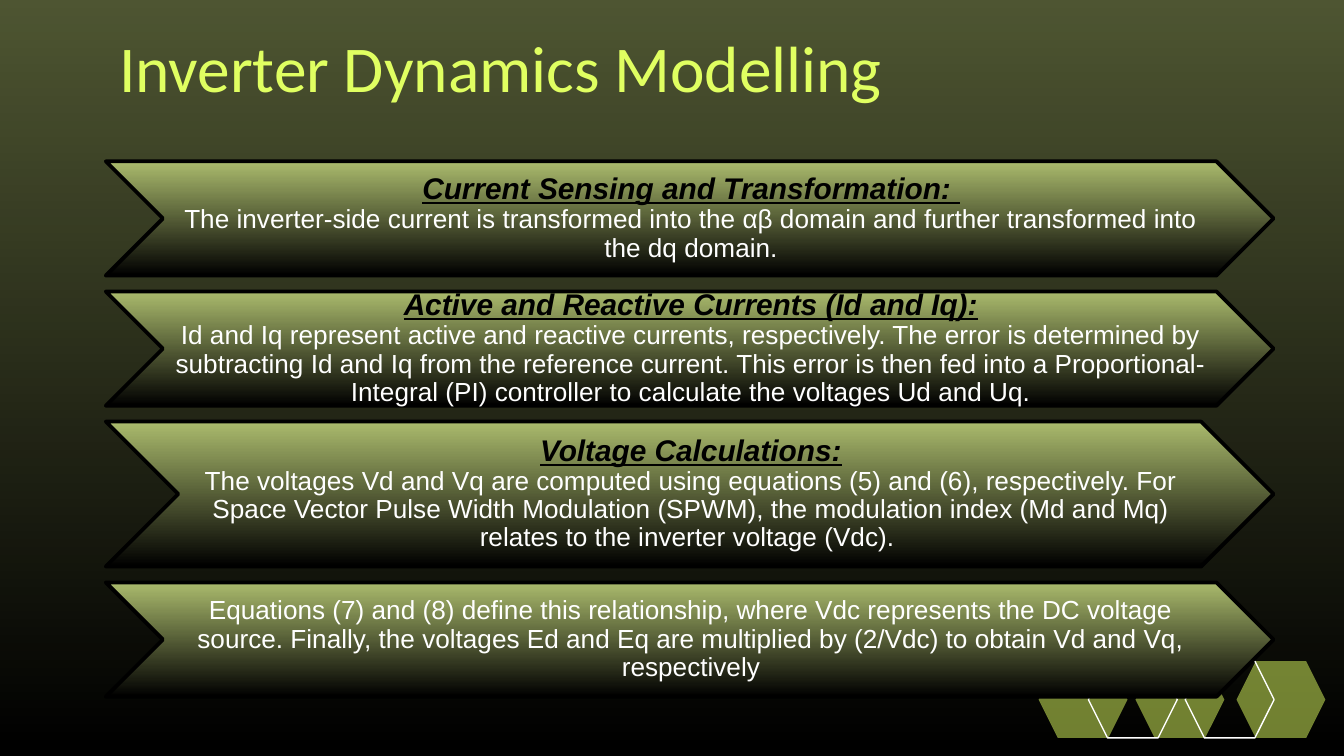
from dataclasses import dataclass

from lxml import etree
from pptx import Presentation
from pptx.dml.color import RGBColor
from pptx.enum.shapes import MSO_SHAPE
from pptx.enum.text import MSO_ANCHOR, PP_ALIGN
from pptx.oxml.ns import qn
from pptx.util import Cm, Pt

RECTANGLE, HEXAGON, CHEVRON = MSO_SHAPE.RECTANGLE, MSO_SHAPE.HEXAGON, MSO_SHAPE.CHEVRON
MIDDLE, BOTTOM = MSO_ANCHOR.MIDDLE, MSO_ANCHOR.BOTTOM
CENTER = PP_ALIGN.CENTER


@dataclass(frozen=True)
class Theme:
    olive: RGBColor = RGBColor(0xAB, 0xBB, 0x6D)
    lime: RGBColor = RGBColor(0xE0, 0xFF, 0x61)
    black: RGBColor = RGBColor(0, 0, 0)
    white: RGBColor = RGBColor(255, 255, 255)
    title_font: str = "Calibri"
    body_font: str = "Arial"
    title_size: Pt = Pt(35)
    heading_size: Pt = Pt(16)
    body_size: Pt = Pt(14)


theme = Theme()


def fade_down(fill):
    """Vertical gradient from olive to black."""
    fill.gradient()
    fill.gradient_angle = 270
    for stop, color in zip(fill.gradient_stops, (theme.olive, theme.black)):
        stop.color.rgb = color


def add_tinted(kind, left, top, width, height, color, opacity):
    """Unlined shape with a see-through fill; opacity in percent."""
    shape = slide.shapes.add_shape(kind, Cm(left), Cm(top), Cm(width), Cm(height))
    shape.shadow.inherit = False
    shape.line.fill.background()
    shape.fill.solid()
    shape.fill.fore_color.rgb = color
    tint = shape.fill._xPr.find(qn("a:solidFill"))[0]
    etree.SubElement(tint, qn("a:alpha"), val=str(opacity * 1000))


deck = Presentation()
deck.slide_width, deck.slide_height = Cm(25.4), Cm(14.29)
slide = deck.slides.add_slide(deck.slide_layouts[6])

# Background, darkened by a veil
fade_down(slide.background.fill)
add_tinted(RECTANGLE, 0, 0, 25.4, 14.29, theme.black, 54)

# Title
title = slide.shapes.add_textbox(Cm(2), Cm(0), Cm(23.04), Cm(2.24)).text_frame
title.word_wrap = True
title.vertical_anchor = BOTTOM
title.margin_left = title.margin_right = title.margin_top = title.margin_bottom = Cm(0.25)
title.text = "Inverter Dynamics Modelling"
title_style = title.paragraphs[0].font
title_style.name, title_style.size = theme.title_font, theme.title_size
title_style.color.rgb = theme.lime

# Hexagon ornament: filled ones behind, outlined ones in front
HEX_TOP, HEX_WIDTH, HEX_HEIGHT = 12.5, 1.68, 1.45
for hex_left in (23.37, 21.46, 19.63):
    add_tinted(HEXAGON, hex_left, HEX_TOP, HEX_WIDTH, HEX_HEIGHT, theme.lime, 50)
for hex_left in (20.57, 22.4):
    outline = slide.shapes.add_shape(
        HEXAGON, Cm(hex_left), Cm(HEX_TOP), Cm(HEX_WIDTH), Cm(HEX_HEIGHT))
    outline.shadow.inherit = False
    outline.fill.background()
    outline.line.color.rgb = theme.white
    outline.line.width = Pt(0.75)

# Steps: height, heading, description
steps = [
    (2.16, "Current Sensing and Transformation: ",
     "The inverter-side current is transformed into the αβ domain and further "
     "transformed into the dq domain."),
    (2.16, "Active and Reactive Currents (Id and Iq):",
     "Id and Iq represent active and reactive currents, respectively. The error is "
     "determined by subtracting Id and Iq from the reference current. This error is "
     "then fed into a Proportional-Integral (PI) controller to calculate the voltages "
     "Ud and Uq."),
    (2.74, "Voltage Calculations:",
     "The voltages Vd and Vq are computed using equations (5) and (6), respectively. "
     "For Space Vector Pulse Width Modulation (SPWM), the modulation index (Md and Mq) "
     "relates to the inverter voltage (Vdc). "),
    (2.16, None,
     "Equations (7) and (8) define this relationship, where Vdc represents the DC "
     "voltage source. Finally, the voltages Ed and Eq are multiplied by (2/Vdc) to "
     "obtain Vd and Vq, respectively"),
]
STEP_LEFT, STEP_WIDTH, STEP_GAP = 2, 22.07, 0.3
step_top = 3.05
for step_height, heading, description in steps:
    arrow = slide.shapes.add_shape(
        CHEVRON, Cm(STEP_LEFT), Cm(step_top), Cm(STEP_WIDTH), Cm(step_height))
    arrow.shadow.inherit = False
    fade_down(arrow.fill)
    arrow.line.color.rgb = theme.black
    arrow.line.width = Pt(2)

    # The text lies between the notch and the point, each half the height deep
    step_text = slide.shapes.add_textbox(
        Cm(STEP_LEFT + step_height / 2), Cm(step_top),
        Cm(STEP_WIDTH - step_height), Cm(step_height)).text_frame
    step_text.word_wrap = True
    step_text.vertical_anchor = MIDDLE
    step_text.margin_left, step_text.margin_right = Cm(0.05), Cm(0)
    step_text.margin_top = step_text.margin_bottom = Cm(0.03)
    paragraph = step_text.paragraphs[0]
    paragraph.alignment = CENTER
    paragraph.line_spacing = 0.9
    paragraph.font.name, paragraph.font.size = theme.body_font, theme.body_size
    paragraph.font.color.rgb = theme.white
    if heading:
        heading_run = paragraph.add_run()
        heading_run.text = heading
        heading_style = heading_run.font
        heading_style.size = theme.heading_size
        heading_style.color.rgb = theme.black
        heading_style.bold = heading_style.italic = heading_style.underline = True
        paragraph.add_line_break()
    paragraph.add_run().text = description
    step_top += step_height + STEP_GAP

deck.save("out.pptx")
